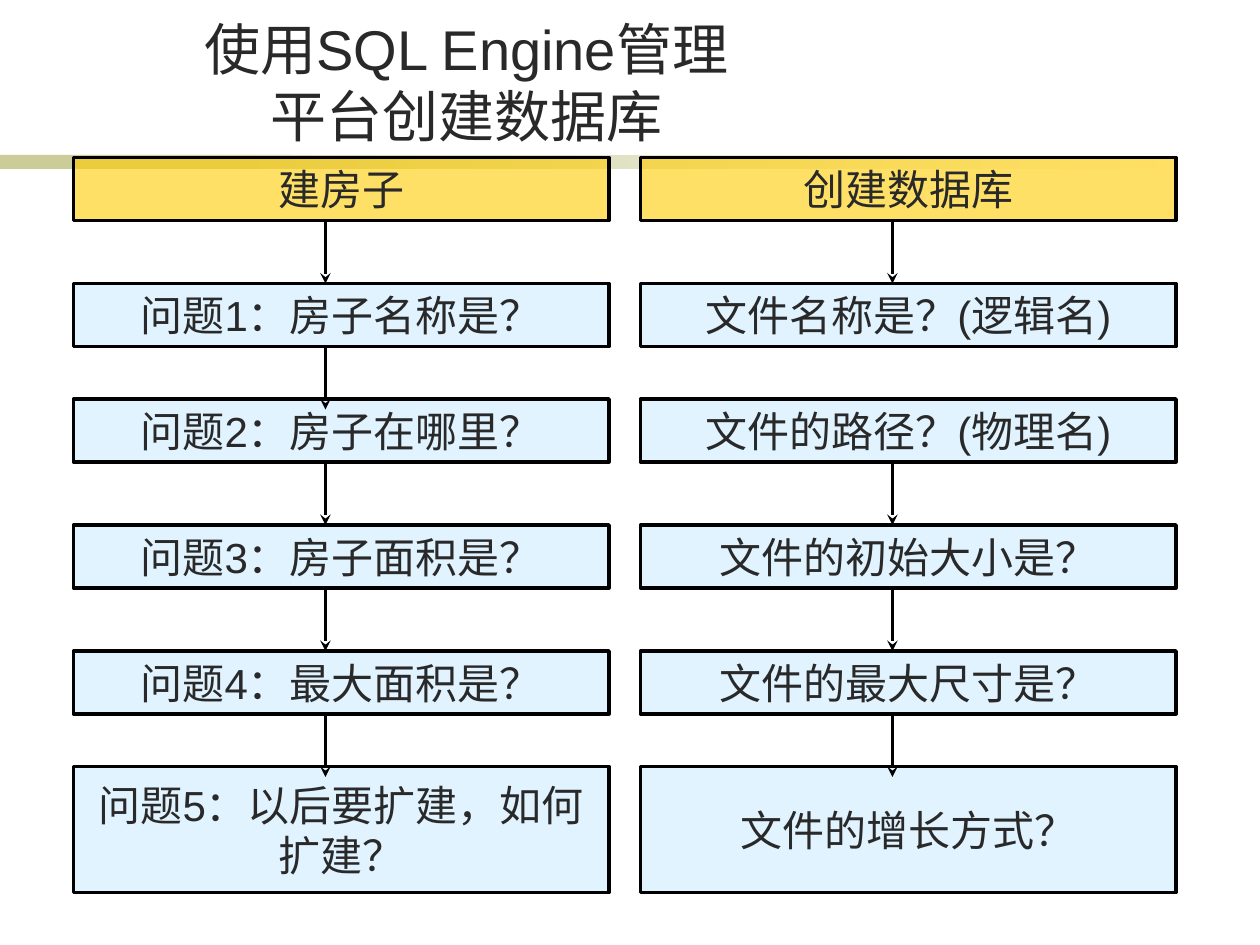
from pptx import Presentation
from pptx.dml.color import RGBColor
from pptx.enum.shapes import MSO_CONNECTOR as Link, MSO_SHAPE as Preset
from pptx.enum.text import MSO_ANCHOR as Anchor, PP_ALIGN as Align
from pptx.oxml.ns import qn
from pptx.util import Pt
from lxml.etree import SubElement

TITLE = "使用SQL Engine管理平台创建数据库"
COLUMNS = [
    {
        "left": 42,
        "texts": ["建房子", "问题1：房子名称是？", "问题2：房子在哪里？", "问题3：房子面积是？",
                  "问题4：最大面积是？", "问题5：以后要扩建，如何扩建？"],
        "arrows_after": [0, 1, 2, 3, 4],
    },
    {
        "left": 366,
        "texts": ["创建数据库", "文件名称是？(逻辑名)", "文件的路径？(物理名)", "文件的初始大小是？",
                  "文件的最大尺寸是？", "文件的增长方式？"],
        "arrows_after": [0, 2, 3, 4],
    },
]
ROW_TOPS = [90, 162, 228, 300, 372, 438]
BOX_WIDTH, BOX_HEIGHT, LAST_HEIGHT = 306, 36, 72
ARROW_OFFSET, ARROW_LENGTH = 144, 36
HEADER, STEP, OPACITY = "FFCC00", "CCECFF", 60
BAND, BAND_TOP, BAND_HEIGHT = "CCCC99", 88.5, 8
BLACK, WHITE, INK = "000000", "FFFFFF", "292929"


def color(value):
    return RGBColor.from_string(value)


def apply(target, values):
    for name, value in values.items():
        setattr(target, name, value)


def write(shape, text, size, frame_format):
    frame = shape.text_frame
    apply(frame, frame_format)
    para = frame.paragraphs[0]
    para.alignment = Align.CENTER
    span = para.add_run()
    span.text = text
    apply(span.font, {"name": "Arial", "size": Pt(size)})
    span.font.color.rgb = color(INK)


def add_rectangle(page, left, top, width, height):
    box = page.shapes.add_shape(Preset.RECTANGLE, Pt(left), Pt(top), Pt(width), Pt(height))
    box.shadow.inherit = False
    return box


def add_bands(page):
    solid = add_rectangle(page, 0, BAND_TOP, 168, BAND_HEIGHT)
    solid.fill.solid()
    solid.fill.fore_color.rgb = color(BAND)
    fading = add_rectangle(page, 114, BAND_TOP, 570, BAND_HEIGHT)
    fading.fill.gradient()
    fading.fill.gradient_angle = 0
    for stop, value in zip(fading.fill.gradient_stops, (BAND, WHITE)):
        stop.color.rgb = color(value)
    for band in (solid, fading):
        band.line.fill.background()


def add_box(page, left, top, height, text, fill, wrap):
    box = add_rectangle(page, left, top, BOX_WIDTH, height)
    box.fill.solid()
    box.fill.fore_color.rgb = color(fill)
    tint = box.fill._xPr.find(qn("a:solidFill"))[0]
    SubElement(tint, qn("a:alpha"), val=str(OPACITY * 1000))
    box.line.color.rgb = color(BLACK)
    box.line.width = Pt(2)
    write(box, text, 24, {"word_wrap": wrap, "vertical_anchor": Anchor.MIDDLE})


def add_arrow(page, x, top):
    arrow = page.shapes.add_connector(
        Link.STRAIGHT, Pt(x), Pt(top), Pt(x), Pt(top + ARROW_LENGTH))
    arrow.line.color.rgb = color(BLACK)
    arrow.line.width = Pt(2)
    SubElement(arrow.line._get_or_add_ln(), qn("a:tailEnd"), type="stealth")
    SubElement(arrow._element.spPr, qn("a:effectLst"))


def add_column(page, column):
    last = len(ROW_TOPS) - 1
    for row, (top, text) in enumerate(zip(ROW_TOPS, column["texts"])):
        add_box(page, column["left"], top, LAST_HEIGHT if row == last else BOX_HEIGHT,
                text, STEP if row else HEADER, row == last)
    for row in column["arrows_after"]:
        add_arrow(page, column["left"] + ARROW_OFFSET, ROW_TOPS[row] + BOX_HEIGHT)


def main():
    deck = Presentation()
    apply(deck, {"slide_width": Pt(720), "slide_height": Pt(540)})
    page = deck.slides.add_slide(deck.slide_layouts[6])
    add_bands(page)
    title = page.shapes.add_textbox(Pt(99), Pt(9.5), Pt(335), Pt(79))
    write(title, TITLE, 32, {"word_wrap": True, "vertical_anchor": Anchor.BOTTOM})
    for column in COLUMNS:
        add_column(page, column)
    deck.save("out.pptx")


if __name__ == "__main__":
    main()
